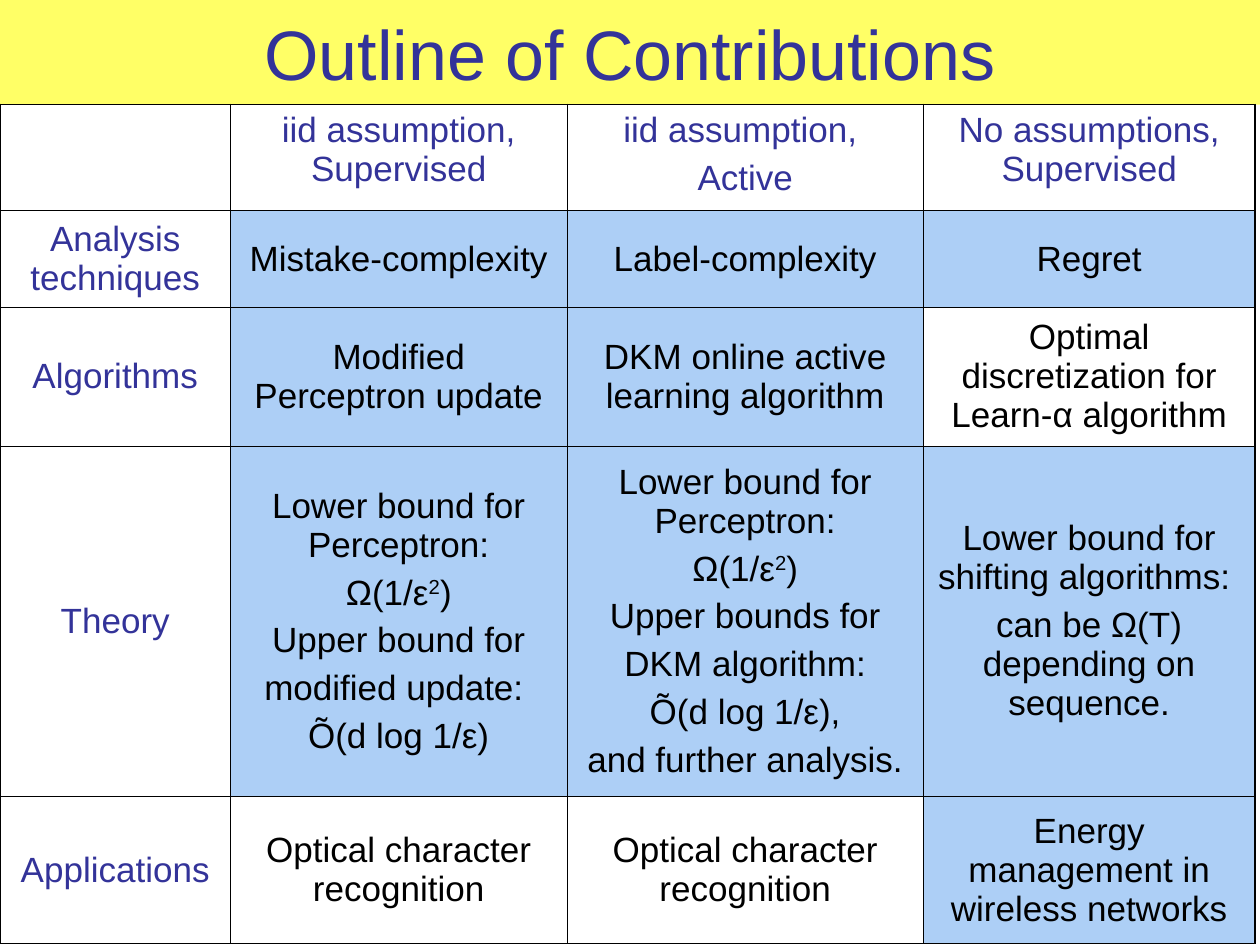
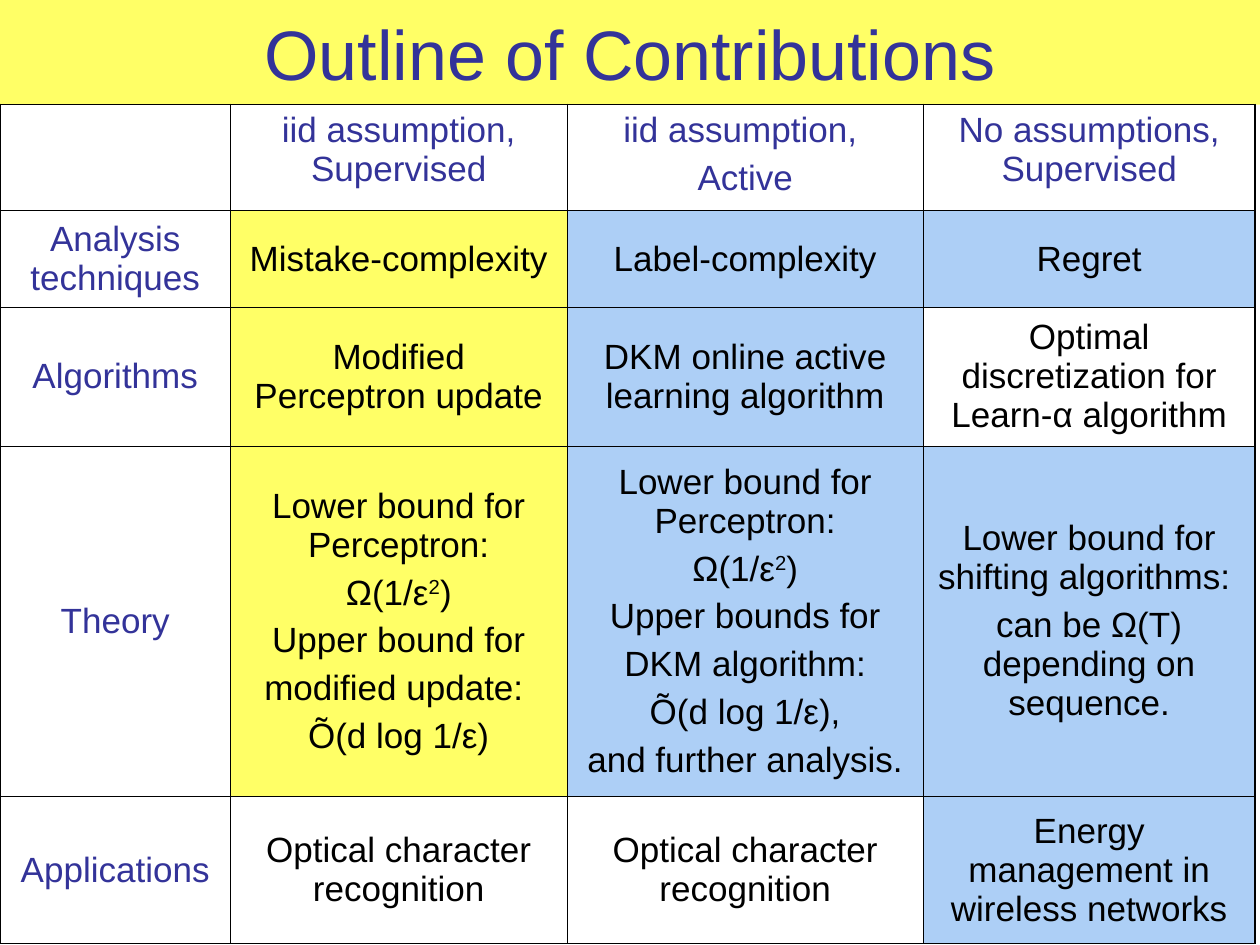
import pptx
import pptx.dml.color
import pptx.enum.text
import pptx.oxml
import pptx.oxml.ns
import pptx.util
from lxml import etree

Inches, Pt = pptx.util.Inches, pptx.util.Pt
MSO_ANCHOR = pptx.enum.text.MSO_ANCHOR
CENTER = pptx.enum.text.PP_ALIGN.CENTER

HEADING = "Outline of Contributions"
SETTINGS = [
    [],
    ["iid assumption, Supervised"],
    ["iid assumption, ", "Active"],
    ["No assumptions, Supervised"],
]
TOPICS = [
    [
        ["Analysis techniques"],
        ["Mistake-complexity"],
        ["Label-complexity"],
        ["Regret"],
    ],
    [
        ["Algorithms"],
        ["Modified Perceptron update"],
        ["DKM online active learning algorithm"],
        ["Optimal discretization for Learn-α algorithm"],
    ],
    [
        ["Theory"],
        ["Lower bound for Perceptron:", "Ω(1/ε^2^)", "Upper bound for",
         "modified update: ", "Õ(d log 1/ε)"],
        ["Lower bound for Perceptron:", "Ω(1/ε^2^)", "Upper bounds for",
         "DKM algorithm:", "Õ(d log 1/ε),", "and further analysis."],
        ["Lower bound for shifting algorithms: ",
         "can be Ω(T) depending on sequence."],
    ],
    [
        ["Applications"],
        ["Optical character recognition"],
        ["Optical character recognition"],
        ["Energy management in wireless networks"],
    ],
]
OUTLINE = [SETTINGS] + TOPICS
CONTRIBUTED = {(1, 1), (1, 2), (1, 3), (2, 1), (2, 2),
               (3, 1), (3, 2), (3, 3), (4, 3)}
HIGHLIGHTED_COLUMNS = [None, 1]

COLORS = {"label": "333399", "text": "000000", "rule": "000000",
          "band": "FFFF66", "highlight": "FFFF66", "contributed": "ADCFF6"}
FONT = "Arial"
BAND_HEIGHT = 0.83
COLUMN_WIDTHS = [1.83, 2.67, 2.83, 2.63]
ROW_HEIGHTS = [0.84, 0.77, 1.1, 2.78, 1.17]
INNER_RULE, OUTER_RULE = 0.45, 1.08
INSETS = {"margin_left": Inches(0.1), "margin_right": Inches(0.1),
          "margin_top": Inches(0.05), "margin_bottom": Inches(0.05)}
BAND_PLACE = {"left": 0, "top": 0, "width": Inches(10),
              "height": Inches(BAND_HEIGHT)}
BAND_TEXT = {**INSETS, "word_wrap": True,
             "auto_size": pptx.enum.text.MSO_AUTO_SIZE.NONE,
             "vertical_anchor": MSO_ANCHOR.MIDDLE}


def apply(target, values):
    for name, value in values.items():
        setattr(target, name, value)


def rgb(role):
    return pptx.dml.color.RGBColor.from_string(COLORS[role])


def paint(fill, role):
    fill.solid()
    fill.fore_color.rgb = rgb(role)


def style_font(font, size, role):
    apply(font, {"name": FONT, "size": Pt(size), "bold": False})
    font.color.rgb = rgb(role)


def write_paragraph(paragraph, text, size, role):
    paragraph.alignment = CENTER
    for position, piece in enumerate(text.split("^")):
        run = paragraph.add_run()
        run.text = piece
        style_font(run.font, size, role)
        if position % 2:
            run.font._element.set("baseline", "30000")


def add_heading(slide):
    band = slide.shapes.title
    apply(band, BAND_PLACE)
    paint(band.fill, "band")
    apply(band.text_frame, BAND_TEXT)
    write_paragraph(band.text_frame.paragraphs[0], HEADING, 40, "label")


def rule_cell(cell, row, column):
    outer = {"L": column == 0, "R": column == len(COLUMN_WIDTHS) - 1,
             "T": row == 0, "B": row == len(ROW_HEIGHTS) - 1}
    properties = cell._tc.get_or_add_tcPr()
    qn = pptx.oxml.ns.qn
    for side, is_outer in outer.items():
        width = Pt(OUTER_RULE if is_outer else INNER_RULE)
        line = etree.SubElement(properties, qn("a:ln" + side), w=str(int(width)))
        solid = etree.SubElement(line, qn("a:solidFill"))
        etree.SubElement(solid, qn("a:srgbClr"), val=COLORS["rule"])


def fill_cell(cell, row, column, highlighted):
    rule_cell(cell, row, column)
    if (row, column) not in CONTRIBUTED:
        cell.fill.background()
    else:
        paint(cell.fill, "highlight" if column == highlighted else "contributed")
    anchor = MSO_ANCHOR.MIDDLE if row else MSO_ANCHOR.TOP
    apply(cell, {**INSETS, "vertical_anchor": anchor})
    role = "text" if row and column else "label"
    for position, text in enumerate(OUTLINE[row][column]):
        frame = cell.text_frame
        paragraph = frame.add_paragraph() if position else frame.paragraphs[0]
        paragraph.space_before = Pt(5 if position else 0)
        write_paragraph(paragraph, text, 20, role)


def add_outline(slide, highlighted):
    outline = slide.shapes.add_table(
        len(ROW_HEIGHTS), len(COLUMN_WIDTHS), 0, Inches(BAND_HEIGHT),
        Inches(sum(COLUMN_WIDTHS)), Inches(sum(ROW_HEIGHTS))).table
    apply(outline, {"first_row": False, "horz_banding": False})
    for column, width in zip(outline.columns, COLUMN_WIDTHS):
        column.width = Inches(width)
    for row, height in zip(outline.rows, ROW_HEIGHTS):
        row.height = Inches(height)
    for row in range(len(ROW_HEIGHTS)):
        for column in range(len(COLUMN_WIDTHS)):
            fill_cell(outline.cell(row, column), row, column, highlighted)


def main():
    deck = pptx.Presentation()
    apply(deck, {"slide_width": Inches(10), "slide_height": Inches(7.5)})
    title_only = deck.slide_layouts.get_by_name("Title Only")
    for highlighted in HIGHLIGHTED_COLUMNS:
        slide = deck.slides.add_slide(title_only)
        add_heading(slide)
        add_outline(slide, highlighted)
    deck.save("out.pptx")


if __name__ == "__main__":
    main()
